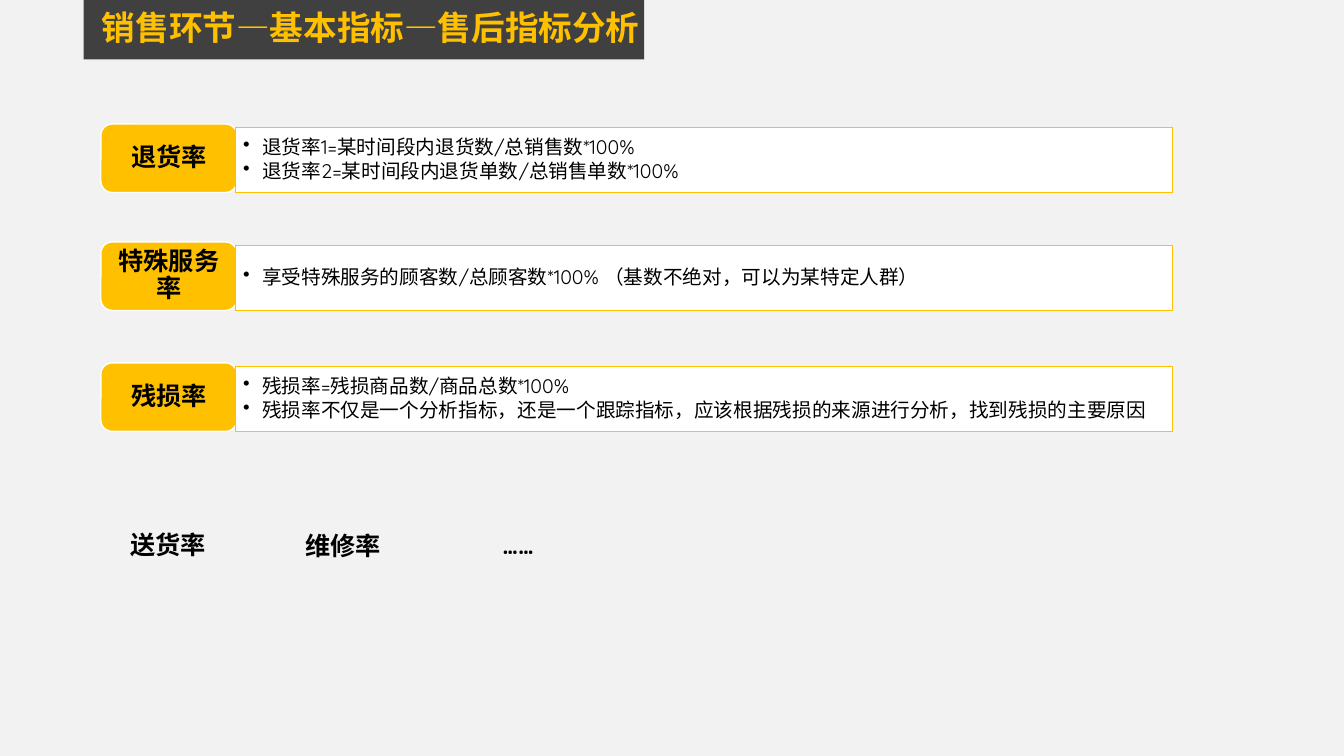
from lxml import etree
from pptx import Presentation
from pptx.dml.color import RGBColor
from pptx.enum.shapes import MSO_SHAPE as Shape
from pptx.enum.text import MSO_ANCHOR as Anchor, MSO_AUTO_SIZE as AutoSize, PP_ALIGN as Align
from pptx.oxml.ns import qn
from pptx.util import Inches, Pt

PAGE = RGBColor(0xF2, 0xF2, 0xF2)
DARK = RGBColor(0x40, 0x40, 0x40)
AMBER = RGBColor(0xFF, 0xC0, 0x00)
WHITE = RGBColor(0xFF, 0xFF, 0xFF)
BLACK = RGBColor(0x00, 0x00, 0x00)
FONT = "Quicksand"

LABEL_LEFT, LABEL_WIDTH, LABEL_HEIGHT = 1, 1.35, 0.68
DETAIL_LEFT, DETAIL_WIDTH, DETAIL_HEIGHT = 2.34, 9.29, 0.64
EXTRA_LEFT, EXTRA_STEP, EXTRA_WIDTH, EXTRA_HEIGHT = 1.04, 1.735, 1.26, 0.61

METRICS = [
    (1.23, "退货率", ["退货率1=某时间段内退货数/总销售数*100%",
                   "退货率2=某时间段内退货单数/总销售单数*100%"]),
    (2.4, "特殊服务率", ["享受特殊服务的顾客数/总顾客数*100% （基数不绝对，可以为某特定人群）"]),
    (3.6, "残损率", ["残损率=残损商品数/商品总数*100%",
                  "残损率不仅是一个分析指标，还是一个跟踪指标，应该根据残损的来源进行分析，找到残损的主要原因"]),
]
EXTRAS = [("送货率", 5.11), ("维修率", 5.12), ("……", 5.11)]


def add_box(kind, left, top, width, height, fill, line=None, line_width=1):
    shape = slide.shapes.add_shape(
        kind, Inches(left), Inches(top), Inches(width), Inches(height))
    shape.shadow.inherit = False
    shape.fill.solid()
    shape.fill.fore_color.rgb = fill
    if line is None:
        shape.line.fill.background()
    else:
        shape.line.color.rgb = line
        shape.line.width = Pt(line_width)
    return shape


def write(shape, lines, size, color=BLACK, bold=False, align=Align.CENTER,
          anchor=Anchor.MIDDLE, inset=(0.07, 0.07), bullet=False):
    """Fill a shape with one paragraph per line; inset is (sides, top and bottom)."""
    frame = shape.text_frame
    frame.word_wrap = True
    frame.auto_size = AutoSize.NONE
    frame.vertical_anchor = anchor
    frame.margin_left = frame.margin_right = Inches(inset[0])
    frame.margin_top = frame.margin_bottom = Inches(inset[1])
    for index, line in enumerate(lines):
        paragraph = frame.add_paragraph() if index else frame.paragraphs[0]
        paragraph.alignment = align
        paragraph.line_spacing = 0.9
        run = paragraph.add_run()
        run.text = line
        run.font.name = FONT
        run.font.size = Pt(size)
        run.font.bold = bold
        run.font.color.rgb = color
        if bullet:
            paragraph.space_after = Pt(2)
            properties = paragraph._p.get_or_add_pPr()
            properties.set("marL", str(Inches(0.19)))
            properties.set("indent", str(-Inches(0.19)))
            etree.SubElement(properties, qn("a:buChar")).set("char", "•")


presentation = Presentation()
presentation.slide_width = Inches(13.33)
presentation.slide_height = Inches(7.5)
slide = presentation.slides.add_slide(presentation.slide_layouts[5])
slide.background.fill.solid()
slide.background.fill.fore_color.rgb = PAGE

# Title on its dark bar; the bar goes behind the placeholder
title_bar = add_box(Shape.RECTANGLE, 0.83, 0, 5.56, 0.59, DARK)
title = slide.shapes.title
title._element.addprevious(title_bar._element)
title.left, title.top = Inches(0.91), Inches(0.06)
title.width, title.height = Inches(5.82), Inches(0.5)
write(title, ["销售环节—基本指标—售后指标分析"], 24, AMBER, bold=True,
      align=Align.LEFT, anchor=Anchor.TOP, inset=(0.1, 0.05))

# One row per metric: label and its definition
for top, name, definitions in METRICS:
    label = add_box(Shape.ROUNDED_RECTANGLE, LABEL_LEFT, top,
                    LABEL_WIDTH, LABEL_HEIGHT, AMBER, WHITE)
    write(label, [name], 18, bold=True)
    detail = add_box(Shape.RECTANGLE, DETAIL_LEFT, top + LABEL_HEIGHT - DETAIL_HEIGHT,
                     DETAIL_WIDTH, DETAIL_HEIGHT, WHITE, AMBER, 0.75)
    write(detail, definitions, 14, align=Align.LEFT, inset=(0.07, 0.04), bullet=True)

# Further metrics, named only
for column, (name, top) in enumerate(EXTRAS):
    extra = slide.shapes.add_textbox(
        Inches(EXTRA_LEFT + column * EXTRA_STEP), Inches(top),
        Inches(EXTRA_WIDTH), Inches(EXTRA_HEIGHT))
    write(extra, [name], 18, bold=True)

presentation.save("out.pptx")
